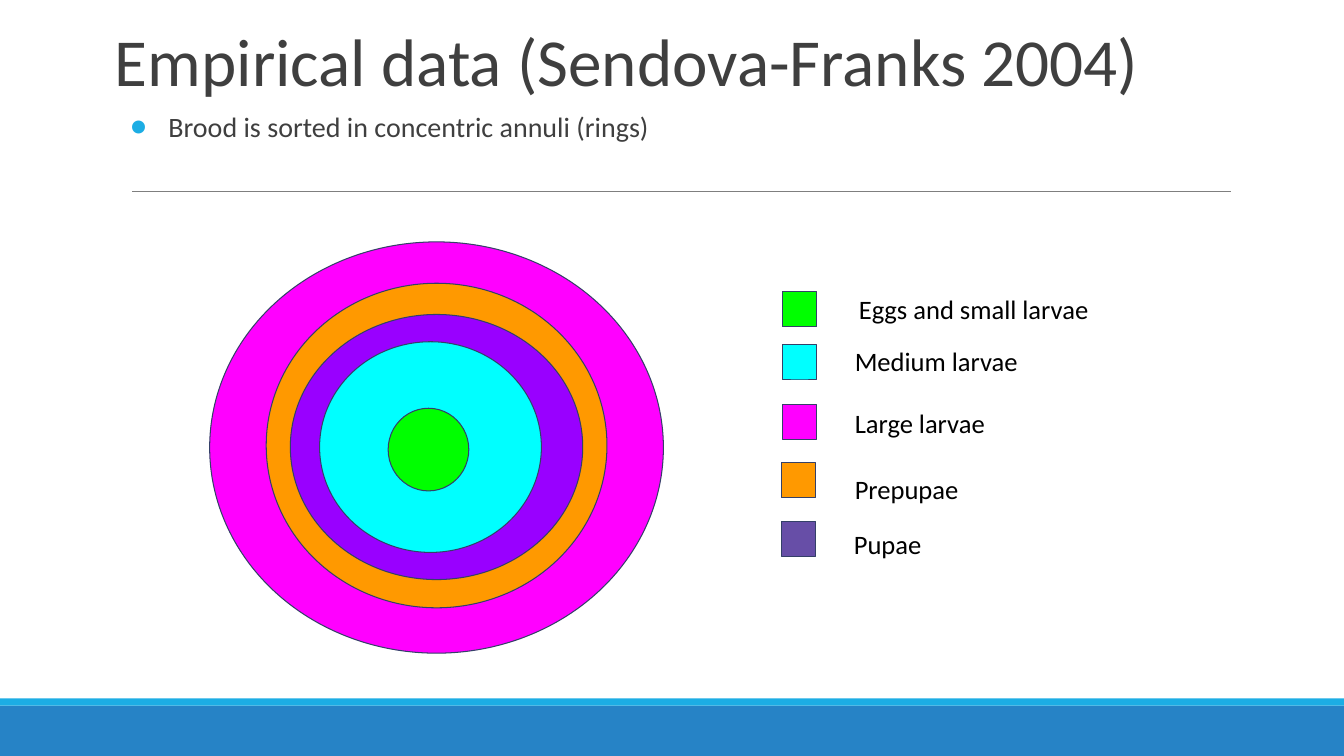
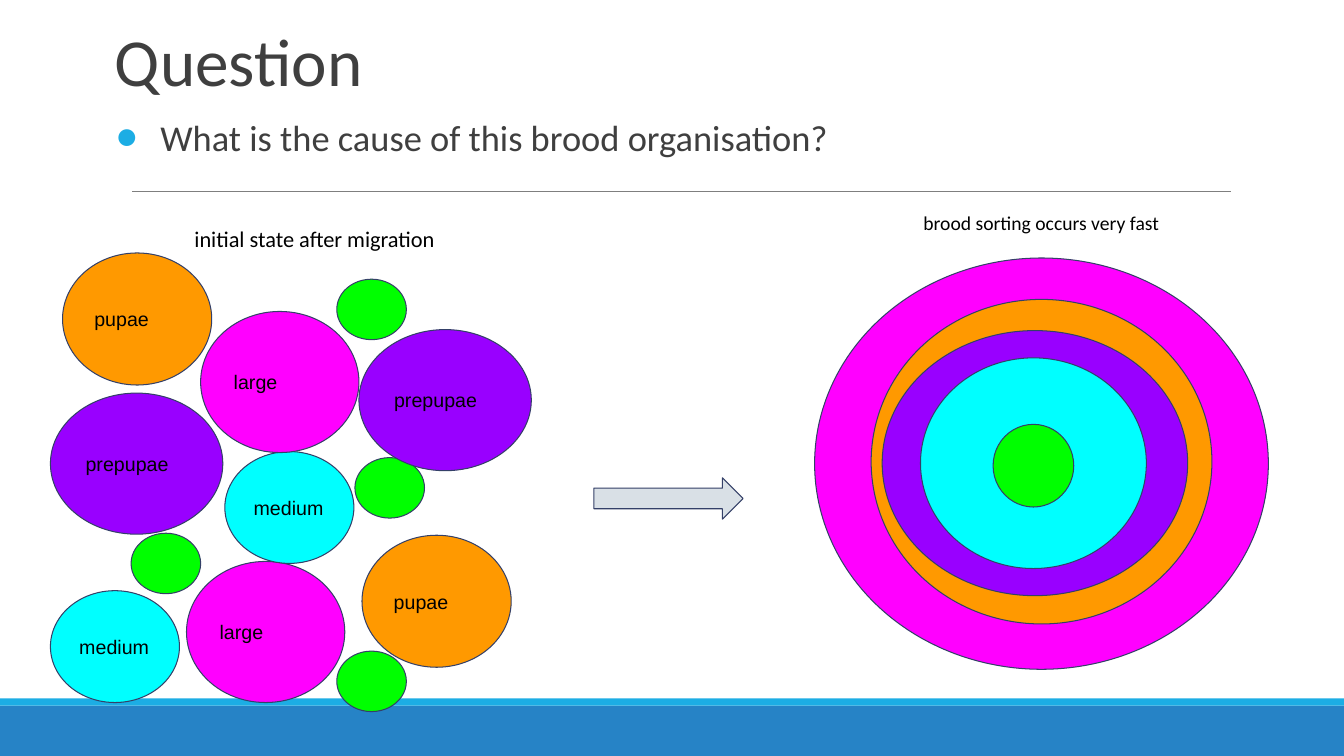
from lxml.etree import SubElement
from pptx import Presentation
from pptx.dml.color import RGBColor
from pptx.enum.shapes import MSO_CONNECTOR, MSO_SHAPE
from pptx.enum.text import MSO_ANCHOR, MSO_AUTO_SIZE, PP_ALIGN
from pptx.oxml.ns import qn
from pptx.util import Inches, Pt

SLIDE_WIDTH, SLIDE_HEIGHT = 13.33, 7.5
TEXT, BLACK, OUTLINE, RULE = "3F3F3F", "000000", "344068", "7F7F7F"
BLUE, SKY, ARROW = "2683C6", "1CADE4", "D9E0E6"
GREEN, CYAN, MAGENTA = "00FF00", "00FFFF", "FF00FF"
ORANGE, VIOLET, MUTED_VIOLET = "FF9900", "9900FF", "674EA7"

RINGS = {
    MAGENTA: (0, 0, 4.5, 4.08),
    ORANGE: (0.56, 0.41, 3.38, 3.22),
    VIOLET: (0.8, 0.72, 2.9, 2.63),
    CYAN: (1.09, 0.99, 2.2, 2.09),
    GREEN: (1.77, 1.65, 0.8, 0.82),
}
WIDER_RINGS = {
    VIOLET: (0.67, 0.72, 3.03, 2.63),
    CYAN: (1.05, 0.99, 2.24, 2.09),
}

LEGEND = [
    ("Eggs and small larvae", GREEN, 7.76, 2.89, 8.42, 2.81),
    ("Medium larvae", CYAN, 7.76, 3.42, 8.38, 3.32),
    ("Large larvae", MAGENTA, 7.76, 4.01, 8.38, 3.94),
    ("Prepupae", ORANGE, 7.75, 4.59, 8.38, 4.59),
    ("Pupae", MUTED_VIOLET, 7.75, 5.17, 8.37, 5.14),
]

BROOD_KINDS = {
    "": (GREEN, 0.69, 0.6),
    "medium": (CYAN, 1.28, 1.11),
    "large": (MAGENTA, 1.57, 1.4),
    "pupae": (ORANGE, 1.48, 1.31),
    "prepupae": (VIOLET, 1.71, 1.4),
}
BROOD_ITEMS = [
    ("", 1.3, 5.29),
    ("medium", 0.5, 5.86),
    ("large", 1.85, 5.57),
    ("pupae", 0.62, 2.51),
    ("prepupae", 0.5, 3.9),
    ("", 3.34, 6.46),
    ("", 3.52, 4.54),
    ("medium", 2.23, 4.48),
    ("large", 1.99, 3.09),
    ("prepupae", 3.56, 3.27),
    ("pupae", 3.59, 5.31),
    ("", 3.34, 2.77),
]


def color(hex_value):
    return RGBColor.from_string(hex_value)


def box(left, top, width, height):
    return [Inches(value) for value in (left, top, width, height)]


def write_text(shape, text, size, font="Calibri", fill=BLACK, anchor=MSO_ANCHOR.TOP,
               insets=(0.1, 0.1, 0.1, 0.1), line_spacing=None, space_before=0,
               auto_size=MSO_AUTO_SIZE.NONE):
    frame = shape.text_frame
    frame.word_wrap = True
    frame.auto_size = auto_size
    frame.vertical_anchor = anchor
    (frame.margin_left, frame.margin_top,
     frame.margin_right, frame.margin_bottom) = box(*insets)
    paragraph = frame.paragraphs[0]
    paragraph.alignment = PP_ALIGN.LEFT
    paragraph.line_spacing = line_spacing
    paragraph.space_before = Pt(space_before)
    run = paragraph.add_run()
    run.text = text
    run.font.name = font
    run.font.size = Pt(size)
    run.font.color.rgb = color(fill)
    return paragraph


def add_bullet(paragraph, margin, indent):
    properties = paragraph._p.get_or_add_pPr()
    properties.set("marL", str(Inches(margin)))
    properties.set("indent", str(Inches(indent)))
    bullet_color = SubElement(properties, qn("a:buClr"))
    SubElement(bullet_color, qn("a:srgbClr"), val=SKY)
    SubElement(properties, qn("a:buFont"), typeface="Calibri")
    SubElement(properties, qn("a:buChar"), char="●")


def place(shape, position):
    shape.left, shape.top, shape.width, shape.height = box(*position)


def add_filled_shape(slide, kind, position, fill, outline=OUTLINE):
    shape = slide.shapes.add_shape(kind, *box(*position))
    shape.shadow.inherit = False
    shape.fill.solid()
    shape.fill.fore_color.rgb = color(fill)
    if outline:
        shape.line.color.rgb = color(outline)
        shape.line.width = Pt(0.75)
    else:
        shape.line.fill.background()
    return shape


def add_label(slide, text, position, size):
    shape = slide.shapes.add_textbox(*box(*position))
    write_text(shape, text, size, auto_size=MSO_AUTO_SIZE.SHAPE_TO_FIT_TEXT)


def add_rule(slide, left, right, top):
    rule = slide.shapes.add_connector(
        MSO_CONNECTOR.STRAIGHT, Inches(left), Inches(top), Inches(right), Inches(top))
    rule.line.color.rgb = color(RULE)
    rule.line.width = Pt(0.75)
    SubElement(rule.element.spPr, qn("a:effectLst"))
    return rule


def decorate_layout(layout, slide):
    decorations = [
        add_filled_shape(slide, MSO_SHAPE.RECTANGLE, (0, 7, SLIDE_WIDTH, 0.5), BLUE, None),
        add_filled_shape(slide, MSO_SHAPE.RECTANGLE, (0, 6.93, SLIDE_WIDTH, 0.07), SKY, None),
        add_rule(slide, 1.31, 12.21, 1.9),
    ]
    tree = layout.element.cSld.spTree
    for number, shape in enumerate(decorations):
        next(shape.element.iter(qn("p:cNvPr"))).set("id", str(100 + number))
        tree.insert(2 + number, shape.element)


def add_heading(slide, title, body, body_position, size, indent, line_spacing):
    place(slide.shapes.title, (1.09, 0.17, 11, 0.87))
    write_text(slide.shapes.title, title, 48, fill=TEXT, anchor=MSO_ANCHOR.BOTTOM,
               insets=(0.05, 0.05, 0.05, 0.05), line_spacing=0.85)
    placeholder = slide.placeholders[1]
    place(placeholder, body_position)
    paragraph = write_text(placeholder, body, size, fill=TEXT, insets=(0, 0, 0, 0),
                           line_spacing=line_spacing, space_before=12)
    add_bullet(paragraph, 0.5, indent)


def add_rings(slide, left, top, rings):
    for fill, (ring_left, ring_top, width, height) in rings.items():
        position = (left + ring_left, top + ring_top, width, height)
        add_filled_shape(slide, MSO_SHAPE.OVAL, position, fill)


def add_legend(slide):
    for text, fill, swatch_left, swatch_top, text_left, text_top in LEGEND:
        add_filled_shape(slide, MSO_SHAPE.RECTANGLE, (swatch_left, swatch_top, 0.34, 0.35), fill)
        add_label(slide, text, (text_left, text_top, 3.06, 0.46), 19)


def add_brood(slide):
    for name, left, top in BROOD_ITEMS:
        fill, width, height = BROOD_KINDS[name]
        shape = add_filled_shape(slide, MSO_SHAPE.OVAL, (left, top, width, height), fill)
        if name:
            write_text(shape, name, 14, font="Arial", anchor=MSO_ANCHOR.MIDDLE,
                       insets=(0.1, 0.1, 0, 0.1))


def build_data_slide(slide):
    add_heading(slide, "Empirical data (Sendova-Franks 2004)",
                "Brood is sorted in concentric annuli (rings)",
                (1.17, 1.12, 10.84, 0.96), 20, -0.38, 0.9)
    add_rings(slide, 2.08, 2.4, RINGS)
    add_legend(slide)


def build_question_slide(slide):
    add_heading(slide, "Question", "What is the cause of this brood organisation?",
                (1.09, 1.25, 10.84, 0.6), 26, -0.44, 0.72)
    add_brood(slide)
    add_rings(slide, 8.08, 2.56, {**RINGS, **WIDER_RINGS})
    add_filled_shape(slide, MSO_SHAPE.RIGHT_ARROW, (5.89, 4.74, 1.48, 0.41), ARROW)
    add_label(slide, "brood sorting occurs very fast", (9.06, 1.99, 2.86, 0.41), 14)
    add_label(slide, "initial state after migration", (1.83, 2.13, 2.86, 0.43), 16)


def main():
    presentation = Presentation()
    presentation.slide_width = Inches(SLIDE_WIDTH)
    presentation.slide_height = Inches(SLIDE_HEIGHT)
    layout = presentation.slide_layouts[1]
    data_slide = presentation.slides.add_slide(layout)
    decorate_layout(layout, data_slide)
    build_data_slide(data_slide)
    build_question_slide(presentation.slides.add_slide(layout))
    presentation.save("out.pptx")


if __name__ == "__main__":
    main()
